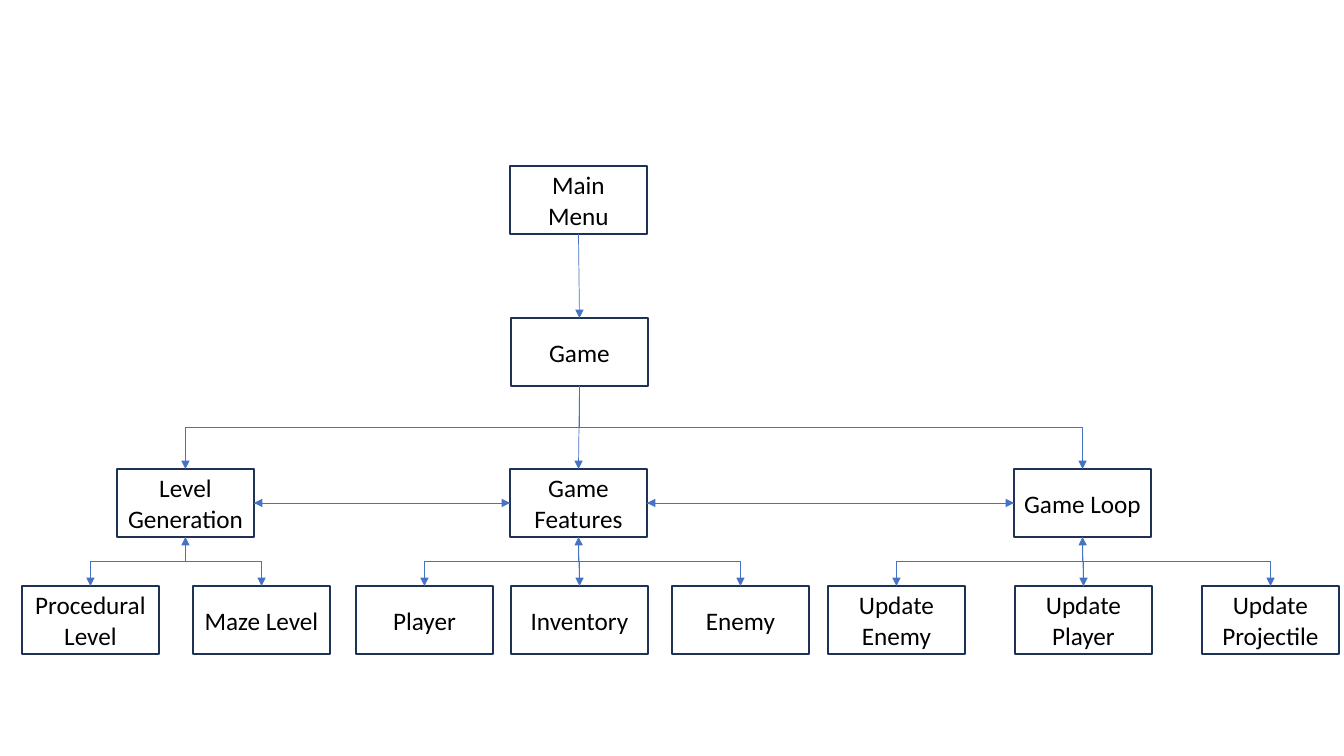
from lxml import etree
from pptx import Presentation
from pptx import util as u
from pptx.dml.color import RGBColor
from pptx.enum import shapes, text
from pptx.oxml import ns

# Content: box name -> left edge in pixels, row by row
ROWS = [
    (166, {"Main Menu": 510}),
    (318, {"Game": 511}),
    (469, {"Level Generation": 117, "Game Features": 510, "Game Loop": 1014}),
    (586, {"Procedural Level": 22, "Maze Level": 193,
           "Player": 356, "Inventory": 511, "Enemy": 672,
           "Update Enemy": 828, "Update Player": 1015, "Update Projectile": 1202}),
]
BRANCHES = {
    "Level Generation": ["Procedural Level", "Maze Level"],
    "Game Features": ["Player", "Inventory", "Enemy"],
    "Game Loop": ["Update Enemy", "Update Player", "Update Projectile"],
}
STRAIGHT_DOWN = [("Main Menu", "Game"), ("Game", "Game Features")]
BENT_DOWN = [("Game", "Level Generation"), ("Game", "Game Loop")]
NEIGHBOURS = [("Level Generation", "Game Features"), ("Game Features", "Game Loop")]

WHITE = RGBColor(0xFF, 0xFF, 0xFF)
BLACK = RGBColor(0x00, 0x00, 0x00)
NAVY = RGBColor(0x1E, 0x32, 0x56)
BLUE = RGBColor(0x44, 0x72, 0xC4)

SCALE = 914400 / 100.8
BOX_WIDTH, BOX_HEIGHT = 137, 68
TOP, LEFT, BOTTOM, RIGHT = range(4)  # connection sites of a rectangle


def px(pixels):
    return u.Emu(round(pixels * SCALE))


deck = Presentation()
deck.slide_width, deck.slide_height = px(1344), px(756)
page = deck.slides.add_slide(deck.slide_layouts[6])


def add_box(name, left, top):
    box = page.shapes.add_shape(shapes.MSO_SHAPE.RECTANGLE, px(left), px(top),
                                px(BOX_WIDTH), px(BOX_HEIGHT))
    box.shadow.inherit = False
    box.fill.solid()
    box.fill.fore_color.rgb = WHITE
    box.line.color.rgb = NAVY
    box.line.width = u.Pt(1)
    frame = box.text_frame
    frame.text = name
    frame.word_wrap = True
    frame.vertical_anchor = text.MSO_ANCHOR.MIDDLE
    para = frame.paragraphs[0]
    para.alignment = text.PP_ALIGN.CENTER
    font = para.runs[0].font
    font.name, font.size, font.color.rgb = "Calibri", u.Pt(18), BLACK
    return box


def add_arrow(kind, x1=0, y1=0, x2=0, y2=0):
    arrow = page.shapes.add_connector(kind, x1, y1, x2, y2)
    arrow.line.color.rgb = BLUE
    arrow.line.width = u.Pt(0.5)
    etree.SubElement(arrow.line._get_or_add_ln(), ns.qn("a:tailEnd"), type="triangle")
    etree.SubElement(arrow._element.spPr, ns.qn("a:effectLst"))
    return arrow


def link(start, start_site, end, end_site, kind=shapes.MSO_CONNECTOR.STRAIGHT):
    arrow = add_arrow(kind)
    arrow.begin_connect(boxes[start], start_site)
    arrow.end_connect(boxes[end], end_site)
    return arrow


def link_bent(start, end):
    """Join bottom to top, turning the elbow so that it leaves vertically."""
    arrow = link(start, BOTTOM, end, TOP, shapes.MSO_CONNECTOR.ELBOW)
    goes_left = arrow.end_x < arrow.begin_x
    across, down = arrow.width, arrow.height
    left = arrow.left + (across - down) // 2
    top = arrow.top + (down - across) // 2
    arrow.left, arrow.top, arrow.width, arrow.height = left, top, down, across
    frame = arrow._element.spPr.xfrm
    frame.set("rot", str((90 if goes_left else 270) * 60000))
    frame.set("flipH", "0" if goes_left else "1")


# Boxes
boxes = {name: add_box(name, left, top)
         for top, row in ROWS for name, left in row.items()}

# Arrows of the upper levels
for start, end in STRAIGHT_DOWN:
    link(start, BOTTOM, end, TOP)
for start, end in BENT_DOWN:
    link_bent(start, end)
for first, second in NEIGHBOURS:
    link(first, RIGHT, second, LEFT)
    link(second, LEFT, first, RIGHT)

# Branches, each with an arrow back up to its parent
for parent, children in BRANCHES.items():
    for child in children:
        link_bent(parent, child)
    if len(children) % 2:
        link(children[len(children) // 2], TOP, parent, BOTTOM)
    else:
        box = boxes[parent]
        center, bottom = box.left + box.width // 2, box.top + box.height
        fork = (bottom + boxes[children[0]].top) // 2
        arrow = add_arrow(shapes.MSO_CONNECTOR.STRAIGHT, center, fork, center, bottom)
        arrow.end_connect(box, BOTTOM)

deck.save("out.pptx")
